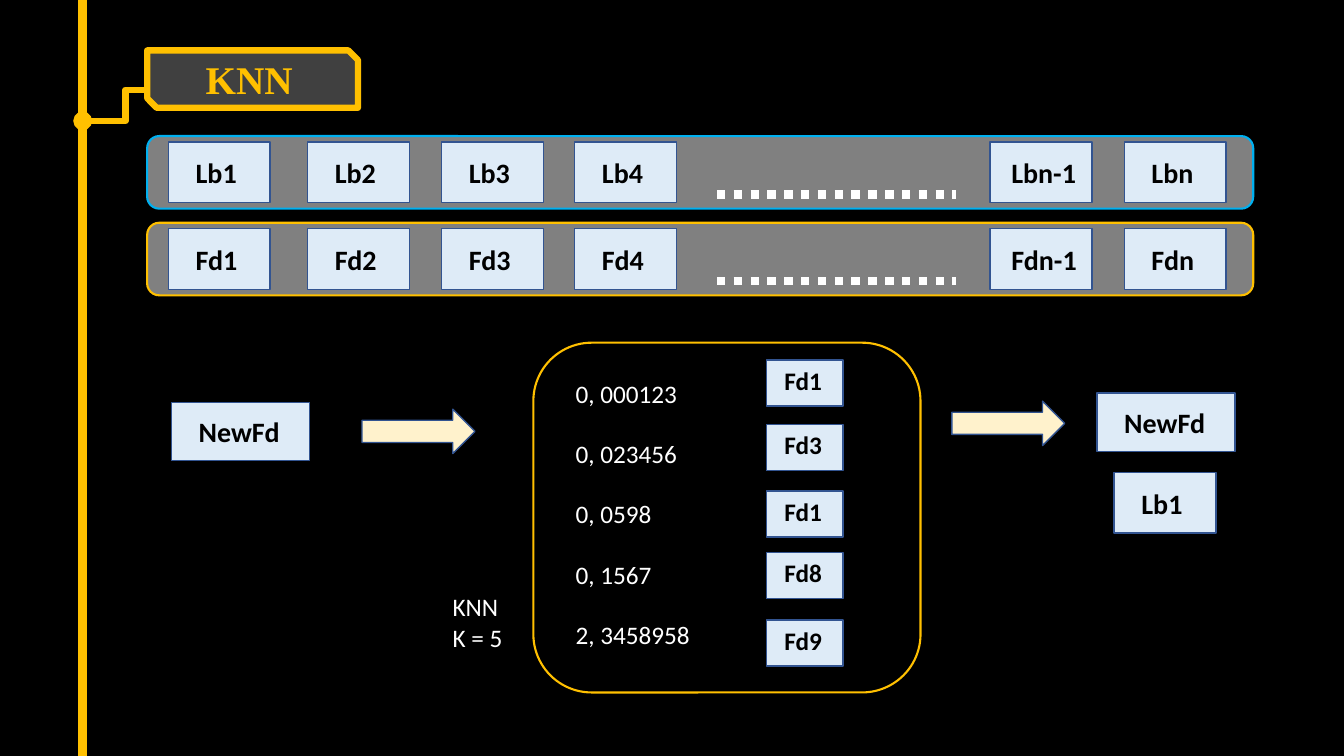
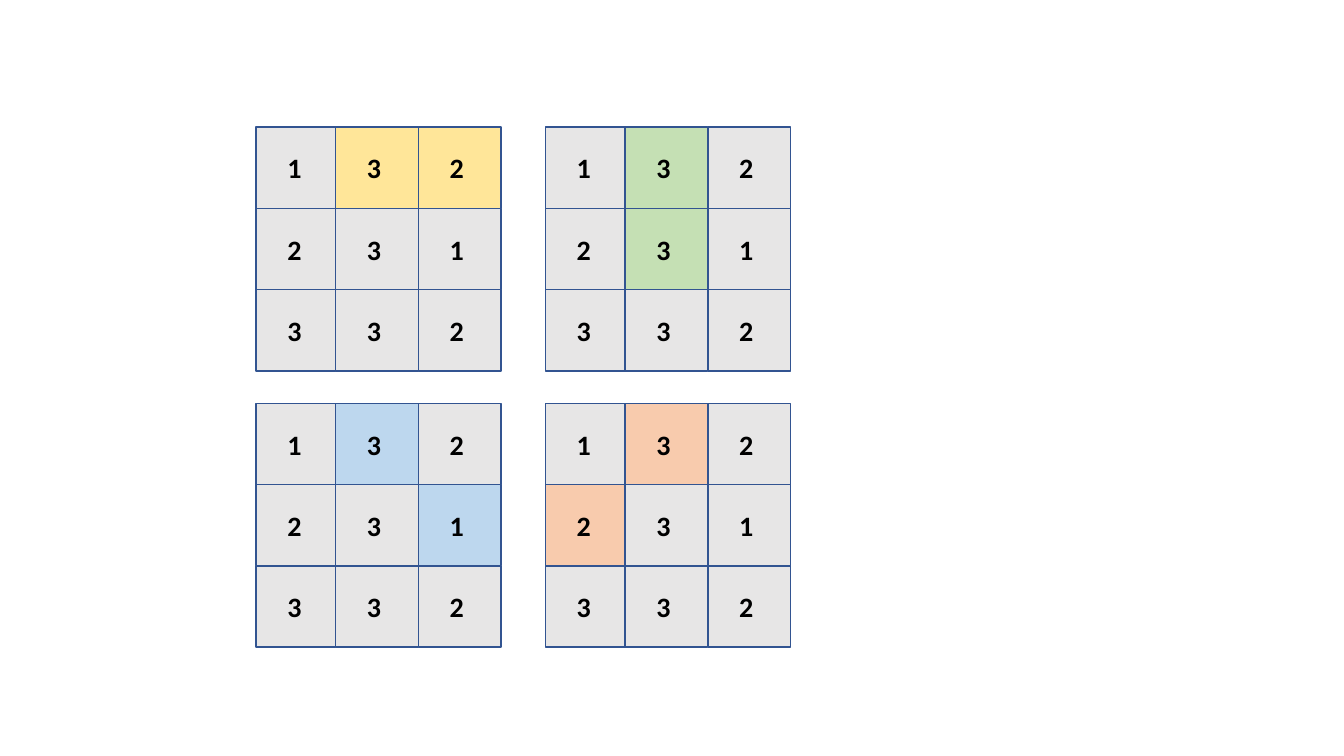
import lxml.etree
import pptx
import pptx.dml.color
import pptx.enum.shapes
import pptx.enum.text
import pptx.oxml.ns
import pptx.util

Inches = pptx.util.Inches
Pt = pptx.util.Pt
KIND = pptx.enum.shapes.MSO_SHAPE
LINK = pptx.enum.shapes.MSO_CONNECTOR
ALIGN = pptx.enum.text.PP_ALIGN
ANCHOR = pptx.enum.text.MSO_ANCHOR

COLORS = {
    "black": "000000", "white": "FFFFFF", "gold": "FFC000", "sky": "00B0F0",
    "dark": "404040", "gray": "808080", "ice": "DEEBF7", "cream": "FFF2CC",
    "edge": "325491", "plain": "E7E6E6", "yellow": "FFE699",
    "green": "C5E0B4", "blue": "BDD7EE", "peach": "F8CBAD",
}

TITLE = "KNN"
BANDS = [
    (2.21, "gold", ["Fd1", "Fd2", "Fd3", "Fd4", "Fdn-1", "Fdn"]),
    (1.35, "sky", ["Lb1", "Lb2", "Lb3", "Lb4", "Lbn-1", "Lbn"]),
]
BAND_X = [1.67, 3.05, 4.38, 5.7, 9.82, 11.15]
SCORES = ["0, 000123", "0, 023456", "0, 0598", "0, 1567", "2, 3458958"]
NEAR = [("Fd1", 3.57), ("Fd3", 4.21), ("Fd1", 4.87), ("Fd8", 5.48), ("Fd9", 6.15)]
NOTE = ["KNN", "K = 5"]
ARROWS = [(3.59, 4.06), (9.44, 3.98)]
ENDS = [
    ("NewFd", (1.7, 3.99, 1.37, 0.58)),
    ("NewFd", (10.88, 3.9, 1.37, 0.58)),
    ("Lb1", (11.05, 4.69, 1.01, 0.6)),
]

VALUES = [[1, 3, 2], [2, 3, 1], [3, 3, 2]]
WIDTHS = [0.79, 0.82, 0.82]
HEIGHT = 2.42 / 3
GRIDS = [
    (2.54, 1.26, "yellow", [(0, 1), (0, 2)]),
    (5.41, 1.26, "green", [(0, 1), (1, 1)]),
    (2.54, 4, "blue", [(0, 1), (1, 2)]),
    (5.41, 4, "peach", [(0, 1), (1, 0)]),
]


def rgb(name):
    return pptx.dml.color.RGBColor.from_string(COLORS[name])


def paint(fill, color):
    fill.solid()
    fill.fore_color.rgb = rgb(color)


def add_tag(parent, tag, **attrs):
    return lxml.etree.SubElement(parent, pptx.oxml.ns.qn(tag), **attrs)


def place(item, box):
    item.left, item.top, item.width, item.height = map(Inches, box)


def write(frame, lines, size, color, bold=False, face="Calibri", gap=0):
    frame.word_wrap = True
    frame.text = "\n".join(lines)
    for i, para in enumerate(frame.paragraphs):
        para.alignment = ALIGN.LEFT
        para.space_before = Pt(gap if i else 0)
        font = para.runs[0].font
        font.size, font.bold, font.name = Pt(size), bold, face
        font.color.rgb = rgb(color)


def add_box(slide, kind, box, fill, edge="edge", width=1):
    shape = slide.shapes.add_shape(kind, *map(Inches, box))
    shape.shadow.inherit = False
    paint(shape.fill, fill)
    shape.line.color.rgb = rgb(edge)
    shape.line.width = Pt(width)
    return shape


def add_card(slide, text, box, size=20, left=0.27, lift=0, fill="ice"):
    frame = add_box(slide, KIND.RECTANGLE, box, fill).text_frame
    write(frame, [text], size, "black", True)
    frame.vertical_anchor = ANCHOR.MIDDLE
    frame.margin_left, frame.margin_right = Inches(left), 0
    frame.margin_top, frame.margin_bottom = 0, Inches(lift)


def add_line(slide, kind, ends, color, width, dash=None, caps=None):
    line = slide.shapes.add_connector(kind, *map(Inches, ends))
    line.line.color.rgb = rgb(color)
    line.line.width = Pt(width)
    edge = line.get_or_add_ln()
    if dash:
        add_tag(edge, "a:prstDash", val=dash)
    if caps:
        add_tag(edge, "a:headEnd", type=caps)
        add_tag(edge, "a:tailEnd", type=caps)
    add_tag(line._element.spPr, "a:effectLst")


def add_title(slide):
    add_line(slide, LINK.STRAIGHT, (0.82, 7.5, 0.82, 0), "gold", 6)
    add_line(slide, LINK.ELBOW, (0.82, 1.2, 1.67, 0.89), "gold", 4.5, caps="oval")
    add_box(slide, KIND.SNIP_2_DIAG_RECTANGLE, (1.46, 0.5, 2.09, 0.57), "dark", "gold", 4.5)
    title = slide.shapes.title
    place(title, (1.85, 0.5, 1.71, 0.57))
    write(title.text_frame, [TITLE], 28, "gold", True, "Times New Roman")
    title.text_frame.margin_left = Inches(0.19)
    title.text_frame.vertical_anchor = ANCHOR.MIDDLE
    slide.shapes._spTree.append(title._element)


def add_band(slide, top, edge, names):
    add_box(slide, KIND.ROUNDED_RECTANGLE, (1.46, top, 10.97, 0.72), "gray", edge, 1.5)
    for x, name in zip(BAND_X, names):
        add_card(slide, name, (x, top + 0.06, 1.01, 0.6), left=0.21 if "-" in name else 0.27)
    add_line(slide, LINK.STRAIGHT, (7.11, top + 0.58, 9.48, top + 0.58), "white", 6, dash="sysDot")


def add_scores(slide):
    add_box(slide, KIND.ROUNDED_RECTANGLE, (5.29, 3.4, 3.84, 3.47), "black", "gold", 1.5)
    body = slide.placeholders[1]
    place(body, (5.61, 3.7, 3.2, 2.83))
    frame = body.text_frame
    frame.auto_size = pptx.enum.text.MSO_AUTO_SIZE.NONE
    frame.vertical_anchor = ANCHOR.TOP
    write(frame, SCORES, 18, "white", gap=21.5)
    for para in frame.paragraphs:
        props = para._p.get_or_add_pPr()
        props.set("marL", "0")
        props.set("indent", "0")
        add_tag(props, "a:buNone")
    slide.shapes._spTree.append(body._element)
    for name, y in NEAR:
        add_card(slide, name, (7.6, y, 0.76, 0.46), 18, 0.18, 0.06)


def add_grid(slide, left, top, color, marks):
    for r, row in enumerate(VALUES):
        for c, value in enumerate(row):
            box = (left + sum(WIDTHS[:c]), top + r * HEIGHT, WIDTHS[c], HEIGHT)
            fill = color if (r, c) in marks else "plain"
            add_card(slide, str(value), box, left=0.31, fill=fill)


def add_slide(deck, layout, color):
    slide = deck.slides.add_slide(deck.slide_layouts[layout])
    paint(slide.background.fill, color)
    return slide


def main():
    deck = pptx.Presentation()
    deck.slide_width, deck.slide_height = Inches(13.33), Inches(7.5)

    slide = add_slide(deck, 1, "black")
    add_title(slide)
    for band in BANDS:
        add_band(slide, *band)
    add_scores(slide)
    for x, y in ARROWS:
        add_box(slide, KIND.RIGHT_ARROW, (x, y, 1.12, 0.44), "cream")
    for name, box in ENDS:
        add_card(slide, name, box)
    note = slide.shapes.add_textbox(*map(Inches, (4.39, 5.82, 1.37, 0.71)))
    write(note.text_frame, NOTE, 18, "white")

    slide = add_slide(deck, 6, "white")
    for grid in GRIDS:
        add_grid(slide, *grid)

    deck.save("out.pptx")


if __name__ == "__main__":
    main()
